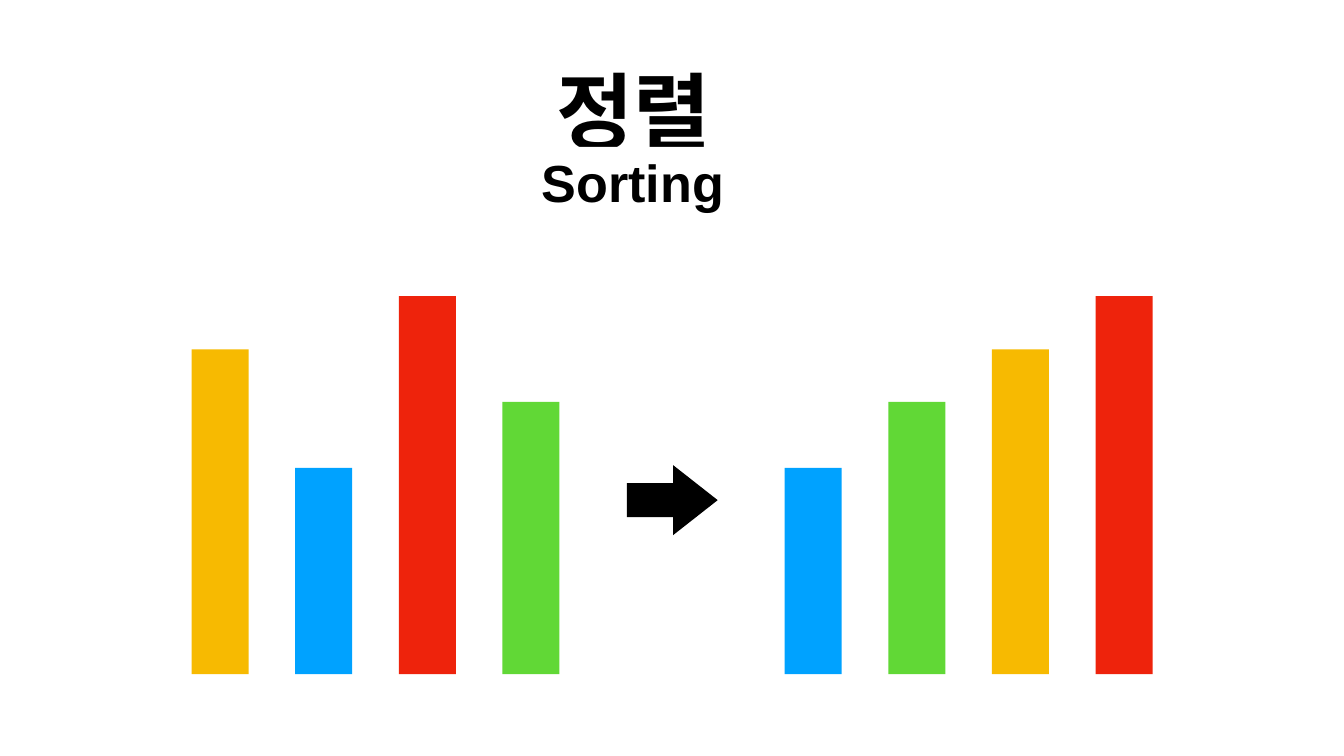
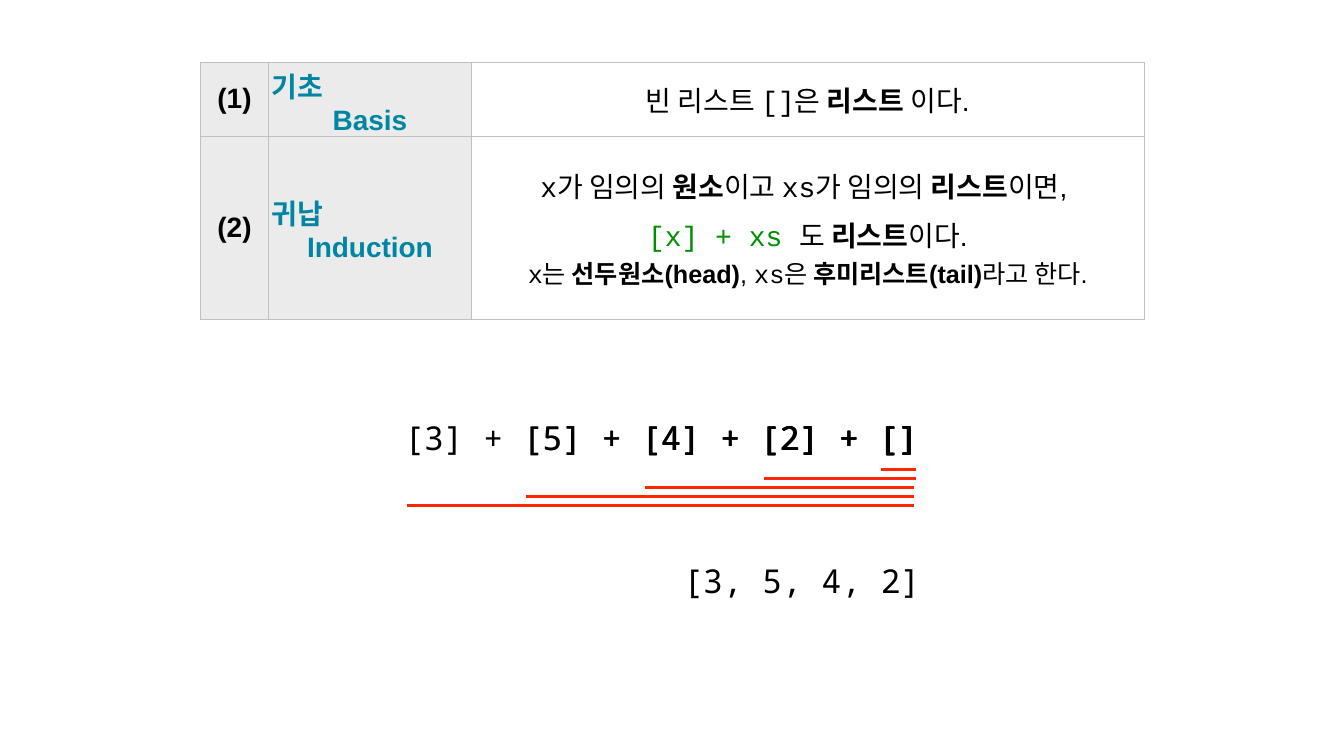
from typing import NamedTuple

from lxml import etree
from pptx import Presentation
from pptx.dml.color import RGBColor
from pptx.enum.shapes import MSO_CONNECTOR, MSO_SHAPE
from pptx.enum.text import MSO_ANCHOR, MSO_AUTO_SIZE, PP_ALIGN
from pptx.oxml.ns import qn
from pptx.slide import Slide
from pptx.table import _Cell
from pptx.util import Pt

RECT, ARROW = MSO_SHAPE.RECTANGLE, MSO_SHAPE.RIGHT_ARROW
STRAIGHT = MSO_CONNECTOR.STRAIGHT
MIDDLE, BOTTOM = MSO_ANCHOR.MIDDLE, MSO_ANCHOR.BOTTOM
GROW = MSO_AUTO_SIZE.SHAPE_TO_FIT_TEXT
LEFT, CENTER = PP_ALIGN.LEFT, PP_ALIGN.CENTER

WHITE = RGBColor(0xFF, 0xFF, 0xFF)
BLACK = RGBColor(0x00, 0x00, 0x00)
YELLOW = RGBColor(0xF7, 0xBA, 0x01)
BLUE = RGBColor(0x00, 0xA2, 0xFF)
RED = RGBColor(0xEE, 0x23, 0x0C)
GREEN = RGBColor(0x61, 0xD8, 0x36)
TEAL = RGBColor(0x00, 0x86, 0xA2)
CODE_GREEN = RGBColor(0x00, 0x8F, 0x00)
UNDERLINE_RED = RGBColor(0xFF, 0x26, 0x00)
LABEL_GREY = RGBColor(0xEB, 0xEB, 0xEB)
BORDER_GREY = RGBColor(0xC0, 0xC0, 0xC0)

SANS, CODE, MONO = "Arial", "Courier New", "Noto Sans Mono"


class Box(NamedTuple):
    left: float
    top: float
    width: float
    height: float


class Bar(NamedTuple):
    height: float
    color: RGBColor


class Span(NamedTuple):
    text: str
    bold: bool = False
    name: str = SANS
    color: RGBColor = BLACK


class Line(NamedTuple):
    spans: tuple[Span, ...]
    size: float = 40
    align: PP_ALIGN = CENTER
    spacing: float | None = None


class Term(NamedTuple):
    width: float
    wrap: bool
    line_start: float
    line_end: float


BAR_WIDTH, BAR_PITCH, BAR_BASE = 81.5, 148, 963
TALLEST, TALL = Bar(540, RED), Bar(464, YELLOW)
SHORT, SHORTEST = Bar(389, GREEN), Bar(294.5, BLUE)
UNSORTED = (TALL, SHORTEST, TALLEST, SHORT)

ITEMS = ("[3]", "[5]", "[4]", "[2]", "[]")
TERMS = (
    Term(69, False, 1259, 1309),
    Term(297, True, 1092, 1309),
    Term(409, False, 921, 1306),
    Term(579, False, 752, 1306),
    Term(749, False, 581, 1306),
)
TERM_CENTER, TERM_STEP = 1284.5, 85
LINE_TOP, LINE_STEP = 670.3, 13.1
COLUMN_WIDTHS, ROW_HEIGHTS = (98, 289, 962), (106.6, 261)


def label(korean: str, english: str) -> tuple[Line, ...]:
    return (
        Line((Span(korean, True, color=TEAL),), align=LEFT),
        Line((Span(english, True, color=TEAL),)),
    )


ROWS = (
    (
        (Line((Span("(1)", True),)),),
        label("기초", "Basis"),
        (
            Line((
                Span("빈 리스트 "), Span("[]", name=CODE), Span("은 "),
                Span("리스트", True), Span(" 이다."),
            )),
        ),
    ),
    (
        (Line((Span("(2)", True),)),),
        label("귀납", "Induction"),
        (
            Line((
                Span("x", name=CODE), Span("가 임의의 "), Span("원소", True),
                Span("이고 "), Span("xs", name=CODE), Span("가 임의의 "),
                Span("리스트", True), Span("이면, "),
            )),
            Line((
                Span("[x] + xs ", name=CODE, color=CODE_GREEN),
                Span("도 "), Span("리스트", True), Span("이다."),
            ), spacing=1.2),
            Line((
                Span("x", name=CODE), Span("는 "), Span("선두원소(head)", True),
                Span(", "), Span("xs", name=CODE), Span("은 "),
                Span("후미리스트(tail)", True), Span("라고 한다."),
            ), size=36),
        ),
    ),
)


def add_text(s: Slide, box: Box, text: str, size: float, name: str, inset: float,
             bold: bool = False, wrap: bool = True) -> None:
    sp = s.shapes.add_textbox(*map(Pt, box))
    tf = sp.text_frame
    tf.word_wrap = wrap
    tf.margin_left = tf.margin_right = tf.margin_top = tf.margin_bottom = Pt(inset)
    p = tf.paragraphs[0]
    p.text = text
    p.alignment = CENTER
    p.font.size = Pt(size)
    p.font.name = name
    p.font.bold = bold
    p.font.color.rgb = BLACK
    if name == MONO:
        tf.vertical_anchor = MIDDLE
        tf.auto_size = GROW
    else:
        tf.vertical_anchor = BOTTOM
        sp.fill.solid()
        sp.fill.fore_color.rgb = WHITE


def add_block(s: Slide, kind: MSO_SHAPE, box: Box, color: RGBColor,
              adjustments: tuple[float, ...] = ()) -> None:
    sp = s.shapes.add_shape(kind, *map(Pt, box))
    sp.shadow.inherit = False
    sp.fill.solid()
    sp.fill.fore_color.rgb = color
    sp.line.fill.background()
    for i, value in enumerate(adjustments):
        sp.adjustments[i] = value


def add_bars(s: Slide, left: float, bars: tuple[Bar, ...]) -> None:
    for i, bar in enumerate(bars):
        box = Box(left + i * BAR_PITCH, BAR_BASE - bar.height, BAR_WIDTH, bar.height)
        add_block(s, RECT, box, bar.color)


def add_underline(s: Slide, start: float, end: float, y: float) -> None:
    line = s.shapes.add_connector(STRAIGHT, Pt(start), Pt(y), Pt(end), Pt(y))
    line.line.color.rgb = UNDERLINE_RED
    line.line.width = Pt(4)
    etree.SubElement(line._element.spPr, qn("a:effectLst"))


def add_borders(cell: _Cell) -> None:
    tc_pr = cell._tc.get_or_add_tcPr()
    for side in ("a:lnL", "a:lnR", "a:lnT", "a:lnB"):
        ln = etree.SubElement(tc_pr, qn(side), w=str(Pt(1)))
        fill = etree.SubElement(ln, qn("a:solidFill"))
        etree.SubElement(fill, qn("a:srgbClr"), val=str(BORDER_GREY))


def fill_cell(cell: _Cell, lines: tuple[Line, ...], color: RGBColor) -> None:
    add_borders(cell)
    cell.fill.solid()
    cell.fill.fore_color.rgb = color
    cell.vertical_anchor = MIDDLE
    cell.margin_left = cell.margin_right = Pt(4)
    cell.margin_top = cell.margin_bottom = Pt(4)
    tf = cell.text_frame
    for i, line in enumerate(lines):
        p = tf.add_paragraph() if i else tf.paragraphs[0]
        p.alignment = line.align
        if line.spacing:
            p.line_spacing = line.spacing
        for span in line.spans:
            r = p.add_run()
            r.text = span.text
            r.font.size = Pt(line.size)
            r.font.name = span.name
            r.font.bold = span.bold
            r.font.color.rgb = span.color


def add_definition_table(s: Slide) -> None:
    box = Box(286, 88.5, sum(COLUMN_WIDTHS), sum(ROW_HEIGHTS))
    table = s.shapes.add_table(len(ROWS), len(COLUMN_WIDTHS), *map(Pt, box)).table
    table.first_row = table.horz_banding = False
    for column, width in zip(table.columns, COLUMN_WIDTHS):
        column.width = Pt(width)
    for row, height, contents in zip(table.rows, ROW_HEIGHTS, ROWS):
        row.height = Pt(height)
        for cell, lines, color in zip(row.cells, contents, (LABEL_GREY, LABEL_GREY, WHITE)):
            fill_cell(cell, lines, color)


def build_sorting(s: Slide) -> None:
    add_text(s, Box(682, 78, 446, 155.5), "정렬", 120, SANS, 4, bold=True)
    add_text(s, Box(736.5, 210, 335.5, 98), "Sorting", 74.5, SANS, 4, bold=True)
    add_bars(s, 273.7, UNSORTED)
    add_bars(s, 1121, tuple(sorted(UNSORTED, key=lambda bar: bar.height)))
    add_block(s, ARROW, Box(895.7, 664.5, 129.6, 100), BLACK, (0.487, 0.637))


def build_list_definition(s: Slide) -> None:
    for i, term in enumerate(TERMS):
        text = " + ".join(ITEMS[-1 - i:])
        left = TERM_CENTER - i * TERM_STEP - term.width / 2
        add_text(s, Box(left, 592.5, term.width, 66), text, 47, MONO, 6, wrap=term.wrap)
        add_underline(s, term.line_start, term.line_end, LINE_TOP + i * LINE_STEP)
    add_definition_table(s)
    add_text(s, Box(948, 795.5, 395.5, 66), "[3, 5, 4, 2]", 47, MONO, 6)


def main() -> None:
    prs = Presentation()
    prs.slide_width, prs.slide_height = Pt(1920), Pt(1080)
    for build in (build_sorting, build_list_definition):
        build(prs.slides.add_slide(prs.slide_layouts[6]))
    prs.save("out.pptx")


if __name__ == "__main__":
    main()
